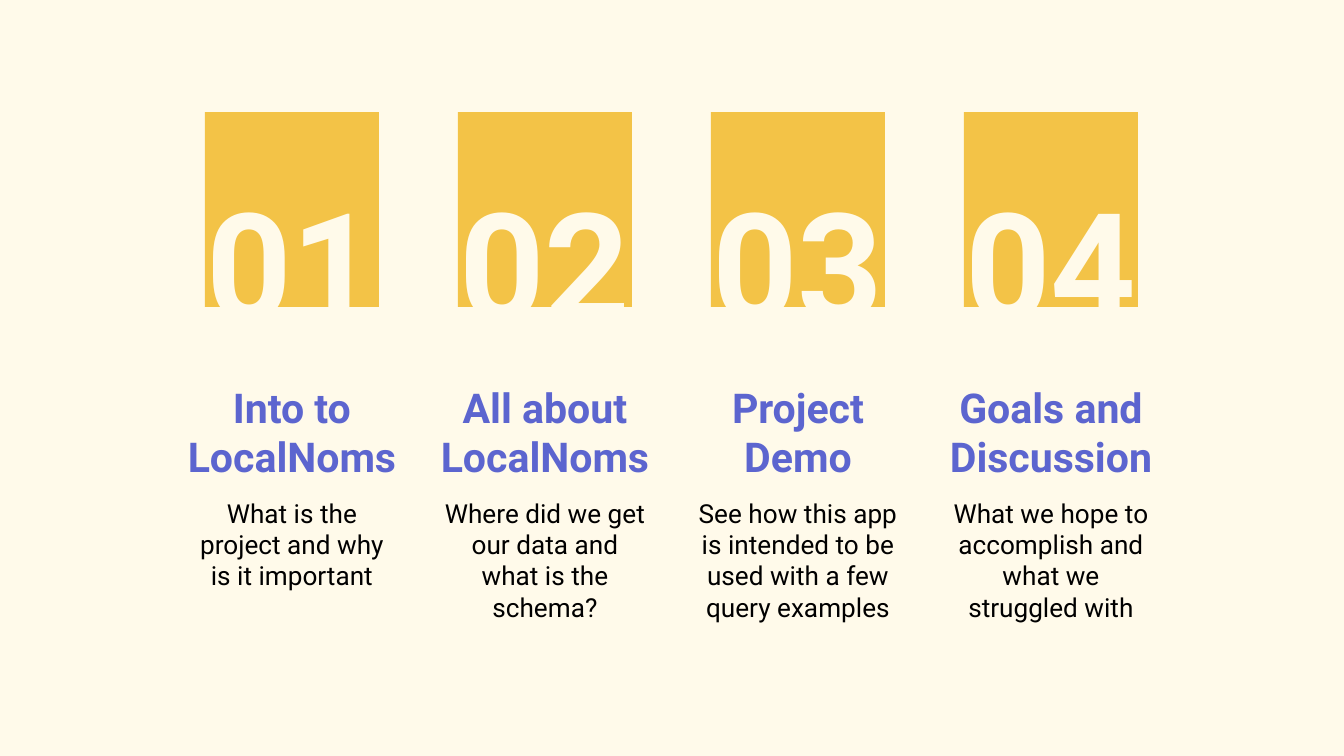
import pptx
import pptx.dml.color
import pptx.enum.shapes
import pptx.enum.text
import pptx.oxml
import pptx.oxml.ns
import pptx.util

COLORS = {"cream": "FFFAEA", "gold": "F3C347", "violet": "5C65CF", "black": "000000"}
FONT = "Roboto"
EMU_PER_PX = 914400 / 134.4
INSET = 13
FIRST_CENTER = 292
COLUMN_STEP = 253

TOPICS = [
    ("01", "Into to LocalNoms", "What is the project and why is it important"),
    ("02", "All about LocalNoms", "Where did we get our data and what is the schema?"),
    ("03", "Project Demo", "See how this app is intended to be used with a few query examples"),
    ("04", "Goals and Discussion", "What we hope to accomplish and what we struggled with"),
]


def px(length):
    return pptx.util.Emu(round(length * EMU_PER_PX))


def rgb(name):
    return pptx.dml.color.RGBColor.from_string(COLORS[name])


class SlideBuilder:
    def __init__(self, slide):
        self.slide = slide
        slide.background.fill.solid()
        slide.background.fill.fore_color.rgb = rgb("cream")

    def bounds(self, center, top, width, height):
        return px(center - width // 2), px(top), px(width), px(height)

    def set_text(self, box, text, size, color, bold, anchor):
        frame = box.text_frame
        frame.word_wrap = True
        frame.auto_size = pptx.enum.text.MSO_AUTO_SIZE.NONE
        frame.vertical_anchor = anchor
        frame.margin_left = frame.margin_right = px(INSET)
        frame.margin_top = frame.margin_bottom = px(INSET)
        para = frame.paragraphs[0]
        para.alignment = pptx.enum.text.PP_ALIGN.CENTER
        para.space_before = pptx.util.Pt(0)
        properties = para._p.get_or_add_pPr()
        properties.set("marL", "0")
        properties.set("indent", "0")
        properties.append(pptx.oxml.parse_xml(
            f'<a:buNone {pptx.oxml.ns.nsdecls("a")}/>'))
        span = para.add_run()
        span.text = text
        span.font.name = FONT
        span.font.size = pptx.util.Pt(size)
        span.font.bold = bold
        span.font.color.rgb = rgb(color)

    def tile(self, center):
        tile = self.slide.shapes.add_shape(
            pptx.enum.shapes.MSO_SHAPE.RECTANGLE, *self.bounds(center, 112, 174, 195))
        tile.shadow.inherit = False
        tile.fill.solid()
        tile.fill.fore_color.rgb = rgb("gold")
        tile.line.fill.background()

    def number(self, center, text):
        box = self.slide.shapes.add_textbox(*self.bounds(center, 156, 304, 207))
        self.set_text(box, text, 80, "cream", True, pptx.enum.text.MSO_ANCHOR.BOTTOM)

    def heading(self, center, text, box=None):
        area = self.bounds(center, 362, 236, 132)
        box = box or self.slide.shapes.add_textbox(*area)
        box.left, box.top, box.width, box.height = area
        self.set_text(box, text, 22, "violet", True, pptx.enum.text.MSO_ANCHOR.BOTTOM)

    def description(self, center, text, box):
        box.left, box.top, box.width, box.height = self.bounds(center, 484, 236, 181)
        self.set_text(box, text, 14, "black", False, pptx.enum.text.MSO_ANCHOR.TOP)


def main():
    deck = pptx.Presentation()
    deck.slide_width, deck.slide_height = px(1344), px(756)
    page = deck.slides.add_slide(deck.slide_layouts.get_by_name("Comparison"))
    builder = SlideBuilder(page)
    title = page.shapes.title
    bodies = [box for box in page.placeholders if 1 <= box.placeholder_format.idx <= 4]
    for column, (number, heading, description) in enumerate(TOPICS):
        center = FIRST_CENTER + column * COLUMN_STEP
        builder.tile(center)
        builder.number(center, number)
        builder.heading(center, heading, title if column == 0 else None)
        builder.description(center, description, bodies[column])
    deck.save("out.pptx")


if __name__ == "__main__":
    main()
